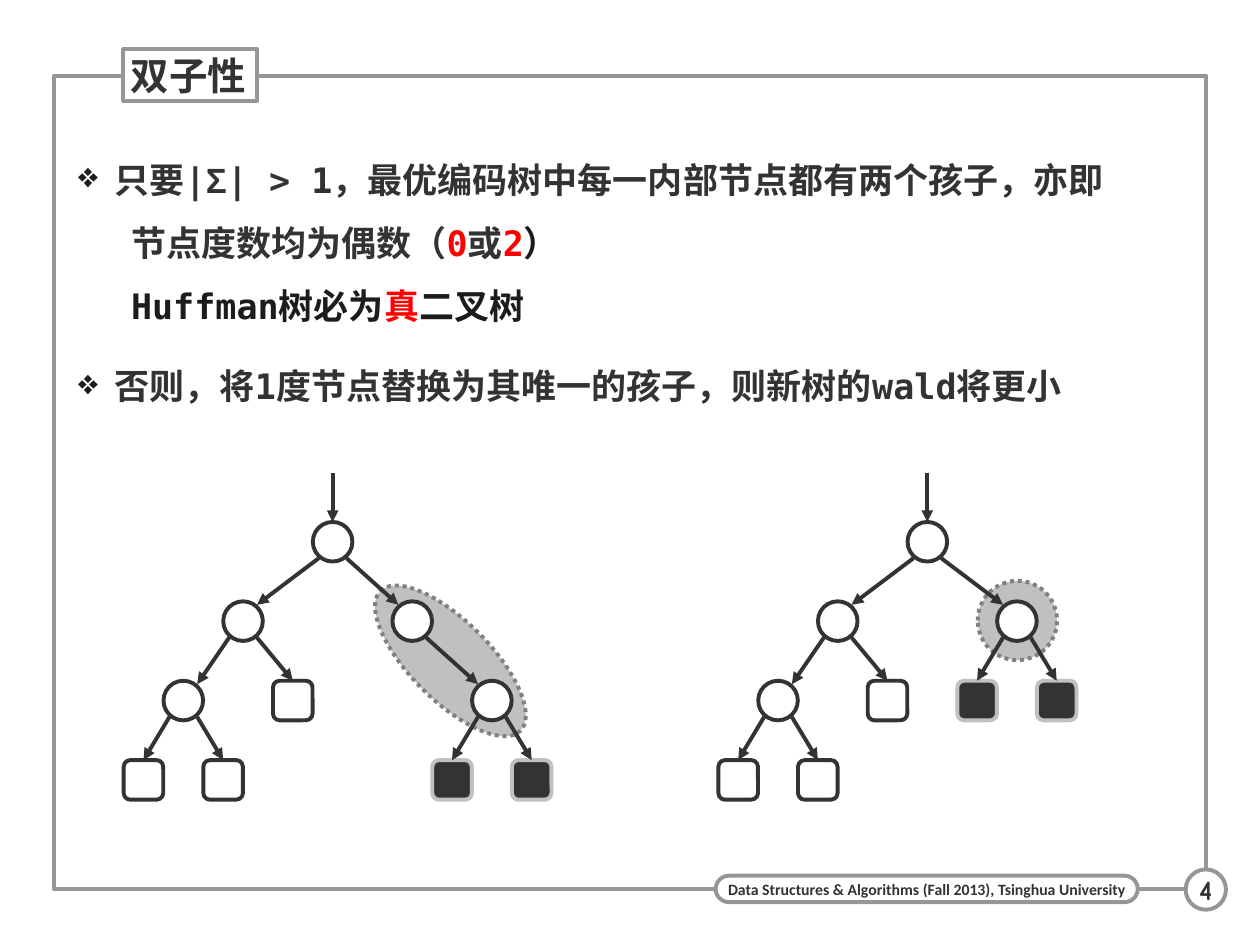
import pptx
import pptx.dml.color
import pptx.enum.dml
import pptx.enum.shapes
import pptx.enum.text
import pptx.oxml
import pptx.oxml.ns
import pptx.util

SHAPES = pptx.enum.shapes.MSO_SHAPE
ALIGN = pptx.enum.text.PP_ALIGN
COLORS = {"white": "FFFFFF", "dark": "333333", "black": "1C1C1C", "red": "FF0000",
          "frame": "969696", "silver": "C0C0C0", "gray": "808080"}
MONO = "DejaVu Sans Mono"
COLUMNS, ROWS = 100, 75
NODE = 3.14          # node diameter
STEP, LEVEL = 0.79, 6.3   # horizontal unit and level height of the trees
CORNER, GAP = 1.1, 1.3    # where an edge touches a circle, from its centre

# name: (parent, steps right of the root, level, style)
SHARED_NODES = {
    "root": (None, 0, 0, "inner"),
    "left": ("root", -9, 1, "inner"),
    "left left": ("left", -15, 2, "inner"),
    "left right": ("left", -4, 2, "leaf"),
    "leaf 1": ("left left", -19, 3, "leaf"),
    "leaf 2": ("left left", -11, 3, "leaf"),
}
BEFORE = SHARED_NODES | {
    "single": ("root", 8, 1, "inner"),
    "only child": ("single", 16, 2, "inner"),
    "dark 1": ("only child", 12, 3, "dark leaf"),
    "dark 2": ("only child", 20, 3, "dark leaf"),
}
AFTER = SHARED_NODES | {
    "merged": ("root", 9, 1, "inner"),
    "dark 1": ("merged", 5, 2, "dark leaf"),
    "dark 2": ("merged", 13, 2, "dark leaf"),
}
NODE_STYLES = {
    "inner": (SHAPES.OVAL, "white", "dark"),
    "leaf": (SHAPES.ROUNDED_RECTANGLE, "white", "dark"),
    "dark leaf": (SHAPES.ROUNDED_RECTANGLE, "dark", "silver"),
}
BULLETS = [
    [[("只要|", "dark"), ("Σ", "dark", "Arial"),
      ("| > 1，最优编码树中每一内部节点都有两个孩子，亦即", "dark")],
     [("\t节点度数均为偶数（", "dark"), ("0", "red"), ("或", "dark"), ("2", "red"),
      ("）", "black")],
     [("\tHuffman树必为", "black"), ("真", "red"), ("二叉树", "black")]],
    [[("否则，将1度节点替换为其唯一的孩子，则新树的wald将更小", "dark")]],
]


class SlideBuilder:
    def __init__(self, presentation):
        self.width = presentation.slide_width
        self.height = presentation.slide_height
        self.slide = presentation.slides.add_slide(presentation.slide_layouts[6])

    def x(self, columns):
        return round(self.width * columns / COLUMNS)

    def y(self, rows):
        return round(self.height * rows / ROWS)

    def box(self, left, top, width, height):
        return self.x(left), self.y(top), self.x(width), self.y(height)

    def color(self, name):
        return pptx.dml.color.RGBColor.from_string(COLORS[name])

    def shape(self, kind, box, fill, line, dash=None, rotation=0):
        shape = self.slide.shapes.add_shape(kind, *self.box(*box))
        shape.shadow.inherit = False
        shape.rotation = rotation
        if fill:
            shape.fill.solid()
            shape.fill.fore_color.rgb = self.color(fill)
        else:
            shape.fill.background()
        shape.line.color.rgb = self.color(line)
        shape.line.width = pptx.util.Pt(2.25)
        if dash:
            shape.line.dash_style = dash
        return shape

    def frame_text(self, shape, margins, wrap=True, anchor="MIDDLE"):
        """Set the text frame of a shape; margins are left, top, right, bottom."""
        frame = shape.text_frame
        values = dict(zip(("margin_left", "margin_top", "margin_right", "margin_bottom"),
                          map(pptx.util.Inches, margins)))
        values |= {"word_wrap": wrap,
                   "vertical_anchor": getattr(pptx.enum.text.MSO_ANCHOR, anchor)}
        for name, value in values.items():
            setattr(frame, name, value)
        return frame

    def run(self, paragraph, text, size, color="dark", font=MONO):
        run = paragraph.add_run()
        run.text = text
        values = {"name": font, "size": pptx.util.Pt(size), "bold": True}
        for name, value in values.items():
            setattr(run.font, name, value)
        run.font.color.rgb = self.color(color)

    def label(self, kind, box, text, size, font, margins, align=ALIGN.CENTER, wrap=False):
        shape = self.shape(kind, box, "white", "frame")
        paragraph = self.frame_text(shape, margins, wrap).paragraphs[0]
        paragraph.alignment = align
        self.run(paragraph, text, size, font=font)
        return shape

    def bullet(self, paragraph):
        properties = paragraph._p.get_or_add_pPr()
        for name, value in (("marL", 0.29), ("indent", -0.29)):
            properties.set(name, str(pptx.util.Inches(value)))
        namespace = pptx.oxml.ns.nsdecls("a")
        tab = pptx.util.Inches(0.42)
        for xml in (f'<a:buClr {namespace}><a:srgbClr val="{COLORS["black"]}"/></a:buClr>',
                    f'<a:buChar {namespace} char="❖"/>',
                    f'<a:tabLst {namespace}><a:tab pos="{tab}" algn="l"/></a:tabLst>'):
            properties.append(pptx.oxml.parse_xml(xml))

    def bullets(self, box, items):
        text_box = self.slide.shapes.add_textbox(*self.box(*box))
        frame = self.frame_text(text_box, (0.16, 0.08, 0, 0.08), anchor="TOP")
        for index, lines in enumerate(items):
            paragraph = frame.add_paragraph() if index else frame.paragraphs[0]
            paragraph.line_spacing = 1.5
            paragraph.space_before = pptx.util.Pt(7.5 if index else 0)
            paragraph.space_after = pptx.util.Pt(2.5)
            self.bullet(paragraph)
            for number, line in enumerate(lines):
                if number:
                    paragraph.add_line_break()
                for text, *style in line:
                    self.run(paragraph, text, 20, *style)

    def arrow(self, start, end, target=None):
        """Draw an arrow, joined to the top of the target if one is given."""
        connector = self.slide.shapes.add_connector(
            pptx.enum.shapes.MSO_CONNECTOR.STRAIGHT,
            self.x(start[0]), self.y(start[1]), self.x(end[0]), self.y(end[1]))
        if target is not None:
            connector.end_connect(target, 0)
        connector.line.color.rgb = self.color("dark")
        connector.line.width = pptx.util.Pt(2.25)
        namespace = pptx.oxml.ns.nsdecls("a")
        connector.line._get_or_add_ln().append(
            pptx.oxml.parse_xml(f'<a:tailEnd {namespace} type="triangle"/>'))
        connector._element.spPr.append(pptx.oxml.parse_xml(f"<a:effectLst {namespace}/>"))

    def highlight(self, center, width, rotation=0):
        height = 6.3
        box = (center[0] - width / 2, center[1] - height / 2, width, height)
        self.shape(SHAPES.OVAL, box, "silver", "gray",
                   pptx.enum.dml.MSO_LINE.ROUND_DOT, rotation)

    def tree(self, root_x, root_y, nodes):
        centers = {}
        for name, (parent, steps, level, style) in nodes.items():
            x, y = centers[name] = root_x + steps * STEP, root_y + level * LEVEL
            kind, fill, line = NODE_STYLES[style]
            node = self.shape(kind, (x - NODE / 2, y - NODE / 2, NODE, NODE), fill, line)
            top = (x, y - NODE / 2)
            if parent is None:
                self.arrow((x, y - 5.5), top, node)
                continue
            parent_x, parent_y = centers[parent]
            side = 1 if x > parent_x else -1
            start = (parent_x + side * CORNER, parent_y + GAP)
            if style == "inner":
                self.arrow(start, (x - side * CORNER, y - GAP))
            else:
                self.arrow(start, top, node)


def main():
    presentation = pptx.Presentation()
    presentation.slide_width = pptx.util.Inches(10)
    presentation.slide_height = pptx.util.Inches(7.5)
    builder = SlideBuilder(presentation)

    builder.shape(SHAPES.RECTANGLE, (4.3, 6, 91.4, 64.6), None, "frame")
    footer = builder.label(SHAPES.ROUNDED_RECTANGLE, (56.8, 69.5, 33.5, 2.1),
                           "Data Structures & Algorithms (Fall 2013), Tsinghua University",
                           9, "Calibri", (0.06, 0, 0.06, 0))
    footer.adjustments[0] = 0.5
    builder.label(SHAPES.OVAL, (94.1, 69, 3.2, 3.2), "4", 16, "Comic Neue", (0.04,) * 4)
    builder.label(SHAPES.RECTANGLE, (9.8, 3.9, 10.6, 4.1), "双子性", 22, MONO,
                  (0.06, 0.01, 0.06, 0.01), ALIGN.LEFT, True)
    builder.bullets((4.6, 10.1, 91.1, 58.1), BULLETS)

    builder.highlight((35.75, 52.45), 15.7, 45)
    builder.highlight((80.75, 49.25), 6.3)
    for root_x, nodes in ((26.4, BEFORE), (73.6, AFTER)):
        builder.tree(root_x, 43, nodes)
    presentation.save("out.pptx")


if __name__ == "__main__":
    main()
